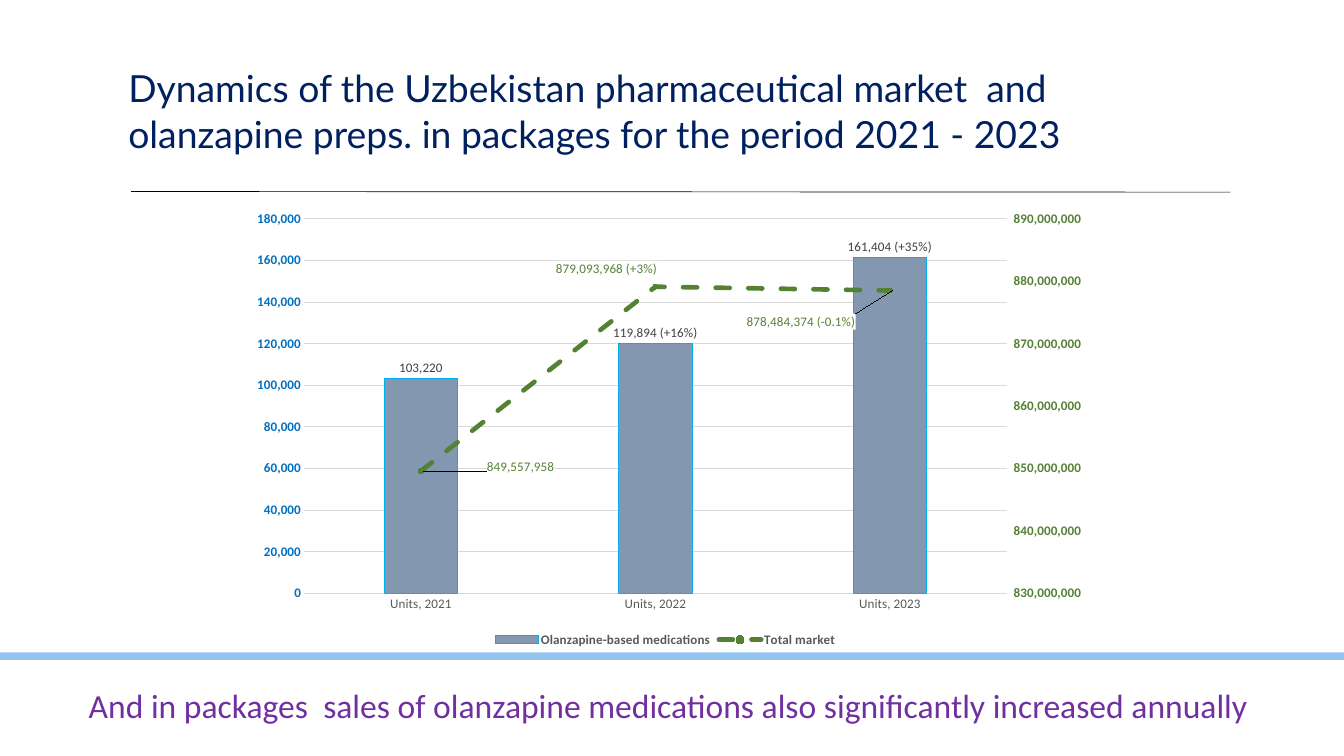
import pptx
import pptx.chart.axis
import pptx.chart.data
import pptx.dml.color
import pptx.enum.chart
import pptx.enum.dml
import pptx.enum.shapes
import pptx.enum.text
import pptx.oxml
import pptx.oxml.ns
import pptx.util

Pt = pptx.util.Pt
qn = pptx.oxml.ns.qn
Tick = pptx.enum.chart.XL_TICK_MARK
Place = pptx.enum.chart.XL_LABEL_POSITION

YEARS = ["Units, 2021", "Units, 2022", "Units, 2023"]
DRUG = [103220, 119894, 161404]
TOTAL = [849557958, 879093968, 878484374]
DRUG_TAGS = {1: "119,894 (+16%)", 2: "161,404 (+35%)"}
# Text and shift of each label, as a share of the chart's size
TOTAL_TAGS = {
    0: ("849,557,958", 0.07, -0.01),
    1: ("879,093,968 (+3%)", -0.12, -0.04),
    2: ("878,484,374 (-0.1%)", -0.17, 0.07),
}
NUMBER = "#,##0"


def rgb(code):
    return pptx.dml.color.RGBColor.from_string(code)


def node(text):
    """Parse chart XML written without namespace declarations."""
    head, tail = text.split(">", 1)
    spaces = pptx.oxml.ns.nsdecls("c", "a")
    return pptx.oxml.parse_xml(f"{head} {spaces}>{tail}")


def layout(x, y, size=""):
    return node(f'<c:layout><c:manualLayout>{size}'
                f'<c:x val="{x}"/><c:y val="{y}"/></c:manualLayout></c:layout>')


class Deck:
    """Holds the style and the current slide."""
    navy, purple, band, grid = "002060", "7030A0", "93C3EF", "D9D9D9"
    gray, dark, blue, green = "595959", "404040", "0070C0", "548235"
    body, head = "Calibri", "Lato"

    def __init__(self):
        self.file = pptx.Presentation()
        self.file.slide_width, self.file.slide_height = Pt(1440), Pt(810)
        self.slide = self.file.slides.add_slide(self.file.slide_layouts[5])

    def font(self, font, color, size=14, bold=False, name=body):
        font.name, font.size, font.bold = name, Pt(size), bold
        font.color.rgb = rgb(color)

    def title(self, text, x, y, w, h):
        box = self.slide.shapes.title
        box.left, box.top, box.width, box.height = Pt(x), Pt(y), Pt(w), Pt(h)
        frame = box.text_frame
        frame.margin_left = frame.margin_right = 0
        frame.margin_top = frame.margin_bottom = 0
        frame.vertical_anchor = pptx.enum.text.MSO_ANCHOR.TOP
        frame.auto_size = pptx.enum.text.MSO_AUTO_SIZE.NONE
        line = frame.paragraphs[0]
        line.alignment = pptx.enum.text.PP_ALIGN.LEFT
        line.line_spacing = Pt(49)
        run = line.add_run()
        run.text = text
        self.font(run.font, self.navy, 40, name=self.head)

    def note(self, text, x, y, w, h):
        box = self.slide.shapes.add_textbox(Pt(x), Pt(y), Pt(w), Pt(h))
        box.text_frame.word_wrap = False
        run = box.text_frame.paragraphs[0].add_run()
        run.text = text
        self.font(run.font, self.purple, 36)

    def rule(self, x, y, end_x, end_y):
        line = self.slide.shapes.add_connector(
            pptx.enum.shapes.MSO_CONNECTOR.STRAIGHT, Pt(x), Pt(y), Pt(end_x), Pt(end_y))
        line.line.color.rgb = rgb("000000")
        line.line.width = Pt(0.75)
        line._element.spPr.append(node("<a:effectLst></a:effectLst>"))

    def bar(self, x, y, w, h):
        shape = self.slide.shapes.add_shape(
            pptx.enum.shapes.MSO_SHAPE.RECTANGLE, Pt(x), Pt(y), Pt(w), Pt(h))
        shape.shadow.inherit = False
        shape.fill.solid()
        shape.fill.fore_color.rgb = rgb(self.band)
        shape.line.fill.background()

    def axis(self, axis, color, top, unit, low=0):
        axis.minimum_scale, axis.maximum_scale, axis.major_unit = low, top, unit
        axis.format.line.fill.background()
        axis.tick_labels.number_format = NUMBER
        axis.tick_labels.number_format_is_linked = False
        self.font(axis.tick_labels.font, color, bold=True)

    def labels(self, series, color, place):
        tags = series.data_labels
        tags.show_value, tags.position = True, place
        tags.number_format, tags.number_format_is_linked = NUMBER, False
        self.font(tags.font, color)

    def tag(self, series, index, text, color, place):
        """Give one point its own label text."""
        label = series.points[index].data_label
        run = label.text_frame.paragraphs[0].add_run()
        run.text = text
        self.font(run.font, color)
        label.position = place

    def split(self, chart):
        """Move the second series to a line plot on a right axis."""
        area = chart._chartSpace.chart.plotArea
        ser = area.findall(".//" + qn("c:ser"))[1]
        for item in ser.findall(qn("c:invertIfNegative")):
            ser.remove(item)
        for item in area.findall(qn("c:layout")):
            area.remove(item)
        lines = node('<c:lineChart><c:grouping val="standard"/><c:varyColors val="0"/>'
                     '<c:marker val="1"/><c:axId val="501"/><c:axId val="502"/></c:lineChart>')
        lines.insert(2, ser)
        area.find(qn("c:barChart")).addnext(lines)
        right = node('<c:valAx><c:axId val="502"/><c:scaling/><c:delete val="0"/>'
                     '<c:axPos val="r"/><c:majorTickMark val="out"/>'
                     '<c:minorTickMark val="none"/><c:tickLblPos val="nextTo"/>'
                     '<c:crossAx val="501"/><c:crosses val="max"/></c:valAx>')
        under = node('<c:catAx><c:axId val="501"/><c:scaling/><c:delete val="1"/>'
                     '<c:axPos val="b"/><c:crossAx val="502"/></c:catAx>')
        area.findall(qn("c:valAx"))[-1].addnext(right)
        right.addnext(under)
        size = '<c:layoutTarget val="inner"/><c:xMode val="edge"/><c:yMode val="edge"/>'
        place = layout(0.085, 0.028, size)
        for side, share in (("w", 0.807), ("h", 0.843)):
            place[0].append(node(f'<c:{side} val="{share}"></c:{side}>'))
        area.insert(0, place)
        return pptx.chart.axis.ValueAxis(right)

    def chart(self, x, y, w, h):
        data = pptx.chart.data.CategoryChartData(number_format=NUMBER)
        data.categories = YEARS
        data.add_series("Olanzapine-based medications", DRUG)
        data.add_series("Total market", TOTAL)
        chart = self.slide.shapes.add_chart(
            pptx.enum.chart.XL_CHART_TYPE.COLUMN_CLUSTERED,
            Pt(x), Pt(y), Pt(w), Pt(h), data).chart
        chart.has_title = False
        self.font(chart.font, "000000")
        chart.has_legend = True
        chart.legend.position = pptx.enum.chart.XL_LEGEND_POSITION.BOTTOM
        chart.legend.include_in_layout = False
        self.font(chart.legend.font, self.gray, bold=True)

        cat, left = chart.category_axis, chart.value_axis
        cat.major_tick_mark = left.major_tick_mark = Tick.NONE
        self.font(cat.tick_labels.font, self.gray)
        for line in (cat.format.line, left.major_gridlines.format.line):
            line.color.rgb, line.width = rgb(self.grid), Pt(0.75)
        self.axis(left, self.blue, 180000, 20000)
        self.axis(self.split(chart), self.green, 890000000, 10000000, 830000000)

        bars, lines = chart.plots
        bars.gap_width, bars.vary_by_categories = 219, False
        self.columns(bars.series[0])
        self.trend(lines.series[0])

    def columns(self, series):
        series.format.fill.solid()
        series.format.fill.fore_color.rgb = rgb("8497B0")
        series.format.line.color.rgb = rgb("00B0F0")
        series.format.line.width = Pt(0.75)
        self.labels(series, self.dark, Place.OUTSIDE_END)
        for index, text in DRUG_TAGS.items():
            self.tag(series, index, text, self.dark, Place.OUTSIDE_END)

    def trend(self, series):
        series.smooth = False
        line = series.format.line
        line.color.rgb, line.width = rgb(self.green), Pt(5)
        line.dash_style = pptx.enum.dml.MSO_LINE.DASH
        series._element.find(qn("c:spPr")).find(qn("a:ln")).set("cap", "rnd")
        mark = series.marker
        mark.style, mark.size = pptx.enum.chart.XL_MARKER_STYLE.CIRCLE, 5
        mark.format.fill.solid()
        mark.format.fill.fore_color.rgb = rgb("4472C4")
        self.labels(series, self.green, Place.RIGHT)
        for index, (text, x, y) in TOTAL_TAGS.items():
            self.tag(series, index, text, self.green, Place.RIGHT)
        for label in series._element.findall(".//" + qn("c:dLbl")):
            shift = TOTAL_TAGS[int(label.find(qn("c:idx")).get("val"))][1:]
            label.find(qn("c:idx")).addnext(layout(*shift))
            label.find(qn("c:tx")).addnext(node(
                '<c:spPr><a:solidFill><a:srgbClr val="FFFFFF"/></a:solidFill></c:spPr>'))


def main():
    deck = Deck()
    deck.rule(140.4, 205.2, 1318.3, 205.9)
    deck.title("Dynamics of the Uzbekistan pharmaceutical market  and olanzapine preps. "
               "in packages for the period 2021 - 2023", 137.5, 69, 1173.6, 96)
    deck.bar(0, 699, 1440, 8)
    deck.note("And in packages  sales of olanzapine medications also significantly "
              "increased annually", 88, 730, 1284, 51)
    deck.chart(246, 221, 934, 476)
    deck.file.save("out.pptx")


if __name__ == "__main__":
    main()
